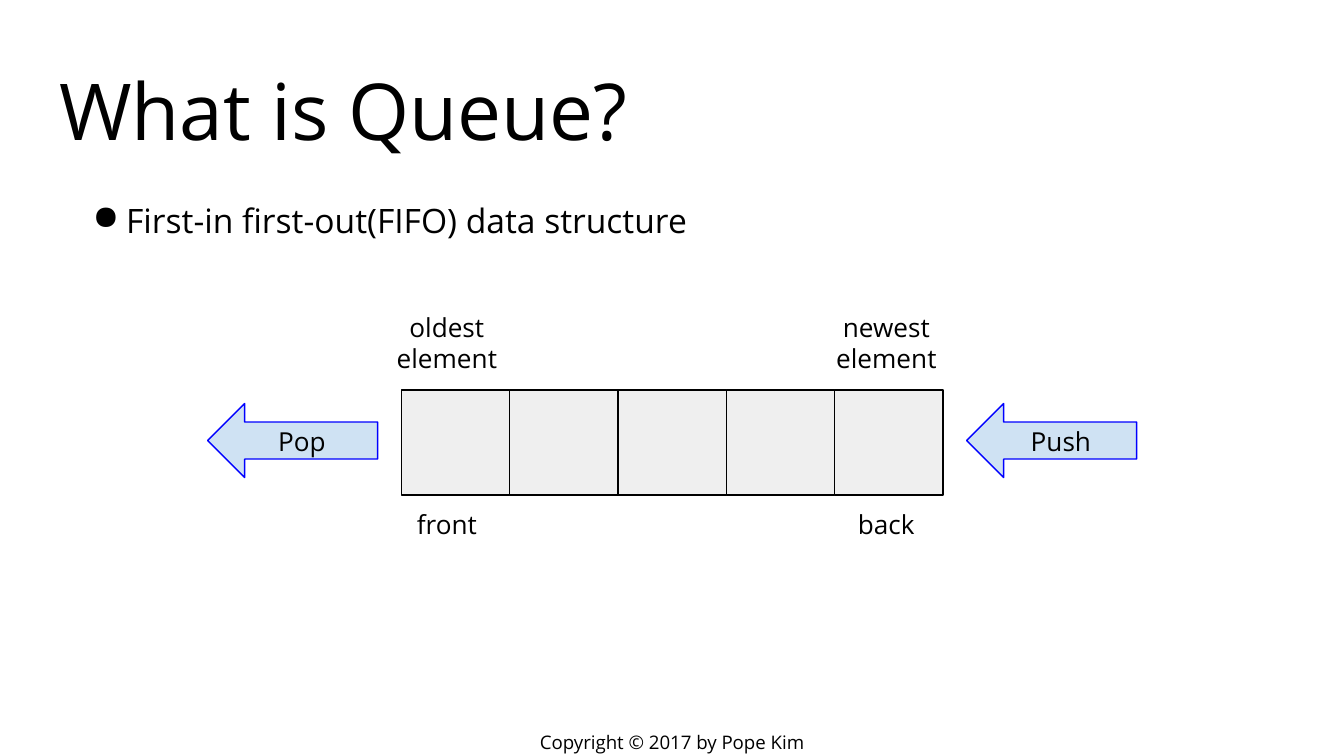
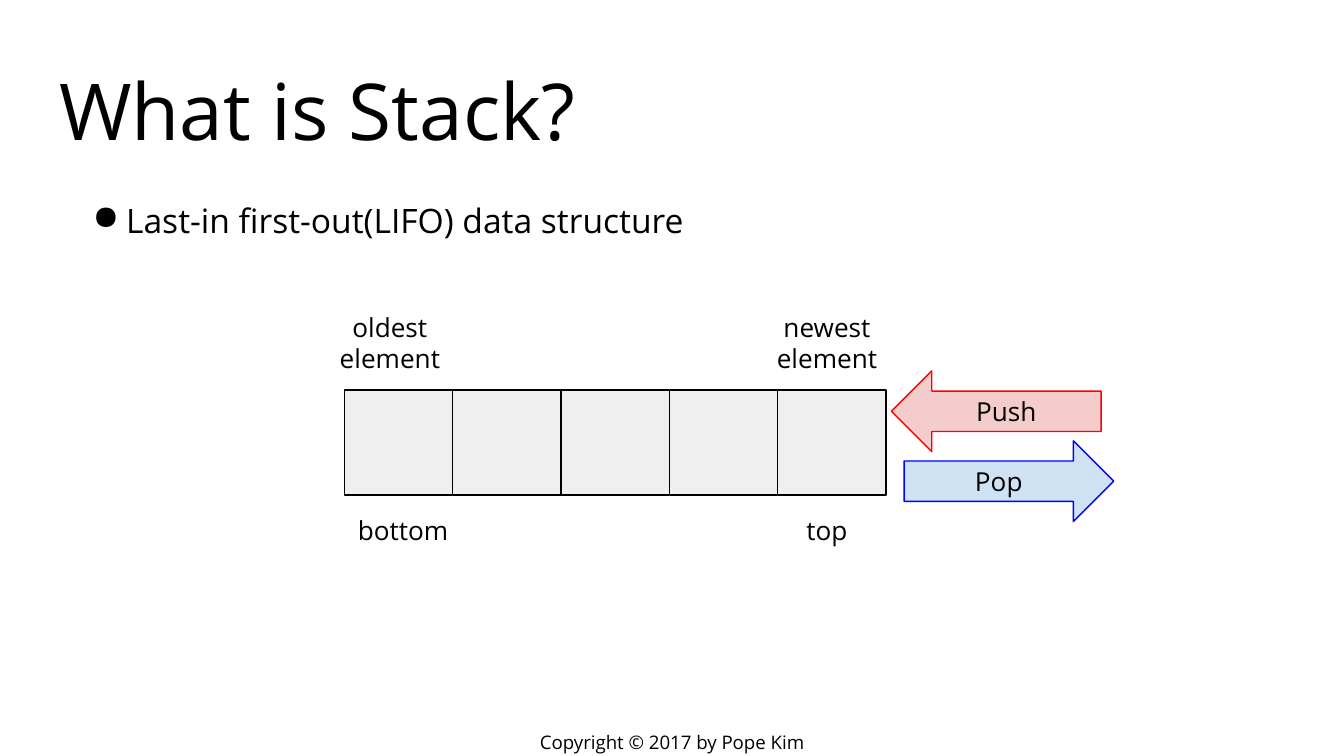
"""Two slides that compare a queue with a stack."""
from lxml.etree import SubElement
from pptx import Presentation
from pptx.dml.color import RGBColor
from pptx.enum.shapes import MSO_SHAPE as Shape
from pptx.enum.text import MSO_ANCHOR as Anchor, MSO_AUTO_SIZE as Fit, PP_ALIGN as Align
from pptx.oxml.ns import qn
from pptx.util import Inches, Pt

FONT = "Open Sans"
BLACK, GREY = "000000", "EFEFEF"
BLUE, RED = ("CFE2F3", "0000FF"), ("F4CCCC", "FF0000")
FOOTER = "Copyright © 2017 by Pope Kim"

WIDTH = Inches(10)
HEIGHT = WIDTH * 9 // 16
TITLE_AT = (3.4, 6.2, 93.2, 16.18)
BODY_AT = (3.4, 23.82, 93.2, 10.67)
FOOTER_AT = (37.65, 96.26, 24.7, 3.74)
CELLS, CELL_WIDTH, CELL_HEIGHT, CELL_TOP = 5, 8.06, 13.9, 51.58
LABEL_WIDTH, LABEL_HEIGHT, LABEL_TOP = 11.5, 12.1, 39.37
BELOW_CELLS = CELL_TOP + CELL_HEIGHT

SLIDES = [
    {
        "title": "What is Queue?",
        "body": "First-in first-out(FIFO) data structure",
        "cells_left": 29.87,
        "labels": [
            ("oldest\nelement", 27.5, LABEL_TOP),
            ("newest\nelement", 60.2, LABEL_TOP),
            ("back", 60.2, BELOW_CELLS),
            ("front", 27.5, BELOW_CELLS),
        ],
        "arrows": [
            ("Pop", Shape.LEFT_ARROW, BLUE, (15.45, 53.38, 12.65, 9.8)),
            ("Push", Shape.LEFT_ARROW, BLUE, (71.92, 53.38, 12.65, 9.8)),
        ],
    },
    {
        "title": "What is Stack?",
        "body": "Last-in first-out(LIFO) data structure",
        "cells_left": 25.63,
        "labels": [
            ("oldest\nelement", 23.26, LABEL_TOP),
            ("newest\nelement", 55.78, LABEL_TOP),
            ("bottom", 24.24, BELOW_CELLS + 0.84),
            ("top", 55.78, BELOW_CELLS + 0.84),
        ],
        "arrows": [
            ("Pop", Shape.RIGHT_ARROW, BLUE, (67.27, 58.32, 15.6, 10.68)),
            ("Push", Shape.LEFT_ARROW, RED, (66.33, 49.07, 15.6, 10.68)),
        ],
    },
]


def color(value):
    """Turn a hex string into a colour."""
    return RGBColor.from_string(value)


def area(left, top, width, height):
    """Turn percentages of the slide into lengths."""
    return (int(WIDTH * left / 100), int(HEIGHT * top / 100),
            int(WIDTH * width / 100), int(HEIGHT * height / 100))


def write(box, text, size, align=Align.CENTER, anchor=Anchor.TOP):
    """Fill a shape with text in the deck's style."""
    frame = box.text_frame
    frame.text = text
    frame.word_wrap = True
    frame.auto_size = Fit.NONE
    frame.vertical_anchor = anchor
    frame.margin_left = frame.margin_right = Inches(0.1)
    frame.margin_top = frame.margin_bottom = Inches(0.1)
    for para in frame.paragraphs:
        para.alignment = align
        for span in para.runs:
            span.font.name = FONT
            span.font.size = Pt(size)
            span.font.color.rgb = color(BLACK)


def add_text(page, place, text, size, **style):
    """Add a text box."""
    box = page.shapes.add_textbox(*area(*place))
    write(box, text, size, **style)
    return box


def add_outlined(shapes, kind, place, fill, line):
    """Add a flat shape with a thin outline."""
    box = shapes.add_shape(kind, *area(*place))
    box.shadow.inherit = False
    box.fill.solid()
    box.fill.fore_color.rgb = color(fill)
    box.line.color.rgb = color(line)
    box.line.width = Pt(0.75)
    return box


def add_bullet(para):
    """Give a paragraph a round bullet and its spacing."""
    para.line_spacing = 1.15
    para.space_after = Pt(16)
    props = para._p.get_or_add_pPr()
    props.set("marL", str(Inches(0.5)))
    props.set("indent", str(Inches(-0.25)))
    tint = SubElement(props, qn("a:buClr"))
    SubElement(tint, qn("a:srgbClr")).set("val", BLACK)
    SubElement(props, qn("a:buChar")).set("char", "●")


def add_page(deck, content):
    """Build one slide."""
    page = deck.slides.add_slide(deck.slide_layouts[5])
    title = page.shapes.title
    title.left, title.top, title.width, title.height = area(*TITLE_AT)
    write(title, content["title"], 42, Align.LEFT, Anchor.BOTTOM)
    add_text(page, FOOTER_AT, FOOTER, 10, anchor=Anchor.MIDDLE)
    body = add_text(page, BODY_AT, content["body"], 18, align=Align.LEFT)
    add_bullet(body.text_frame.paragraphs[0])

    cells = page.shapes.add_group_shape()
    for index in range(CELLS):
        left = content["cells_left"] + index * CELL_WIDTH
        place = (left, CELL_TOP, CELL_WIDTH, CELL_HEIGHT)
        add_outlined(cells.shapes, Shape.RECTANGLE, place, GREY, BLACK)
    for text, left, top in content["labels"]:
        add_text(page, (left, top, LABEL_WIDTH, LABEL_HEIGHT), text, 14)
    for text, kind, (fill, line), place in content["arrows"]:
        arrow = add_outlined(page.shapes, kind, place, fill, line)
        write(arrow, text, 14, anchor=Anchor.MIDDLE)


deck = Presentation()
deck.slide_width, deck.slide_height = WIDTH, HEIGHT
for content in SLIDES:
    add_page(deck, content)
deck.save("out.pptx")
